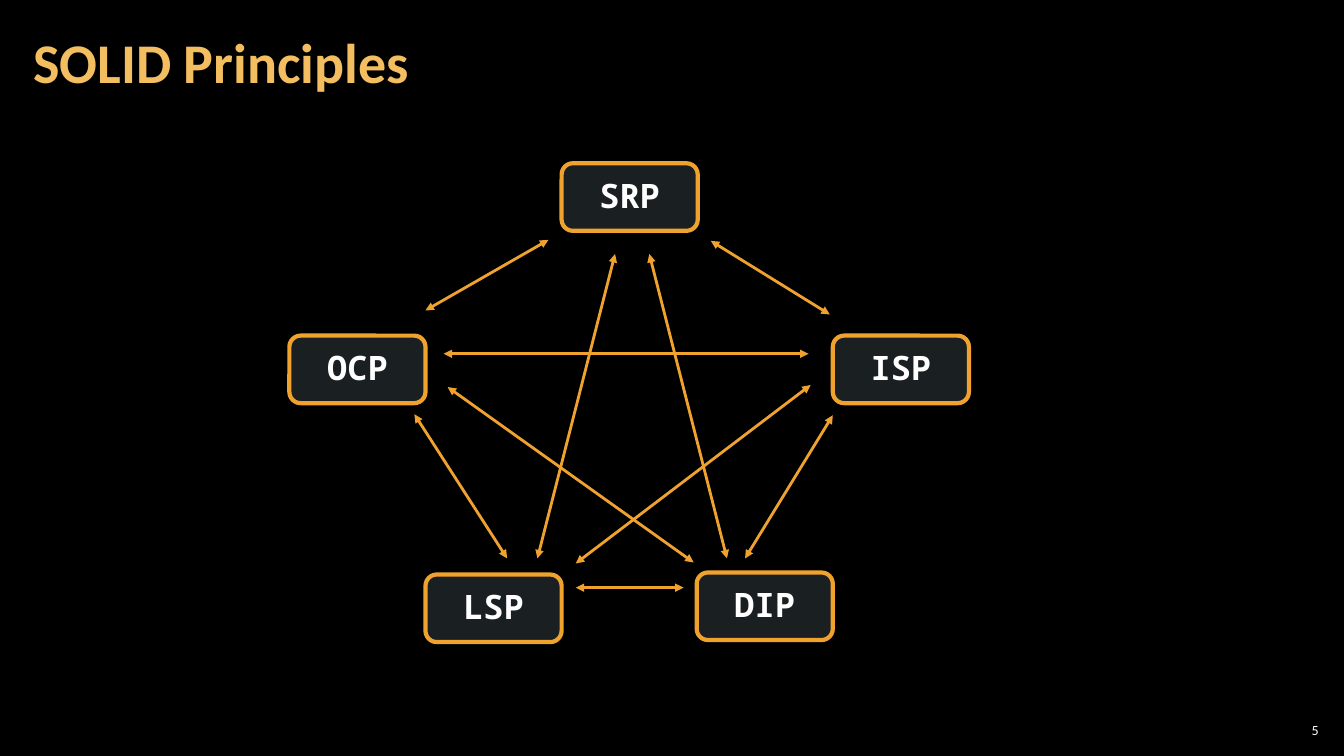
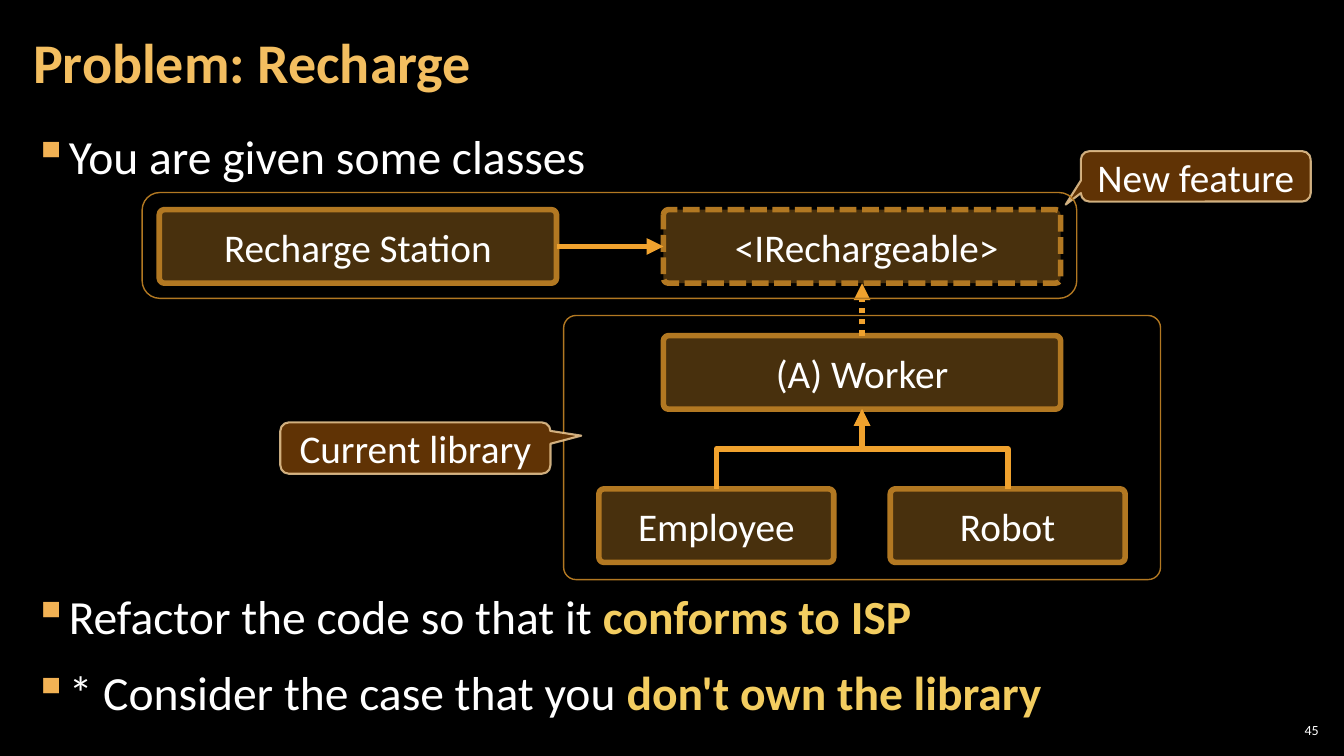
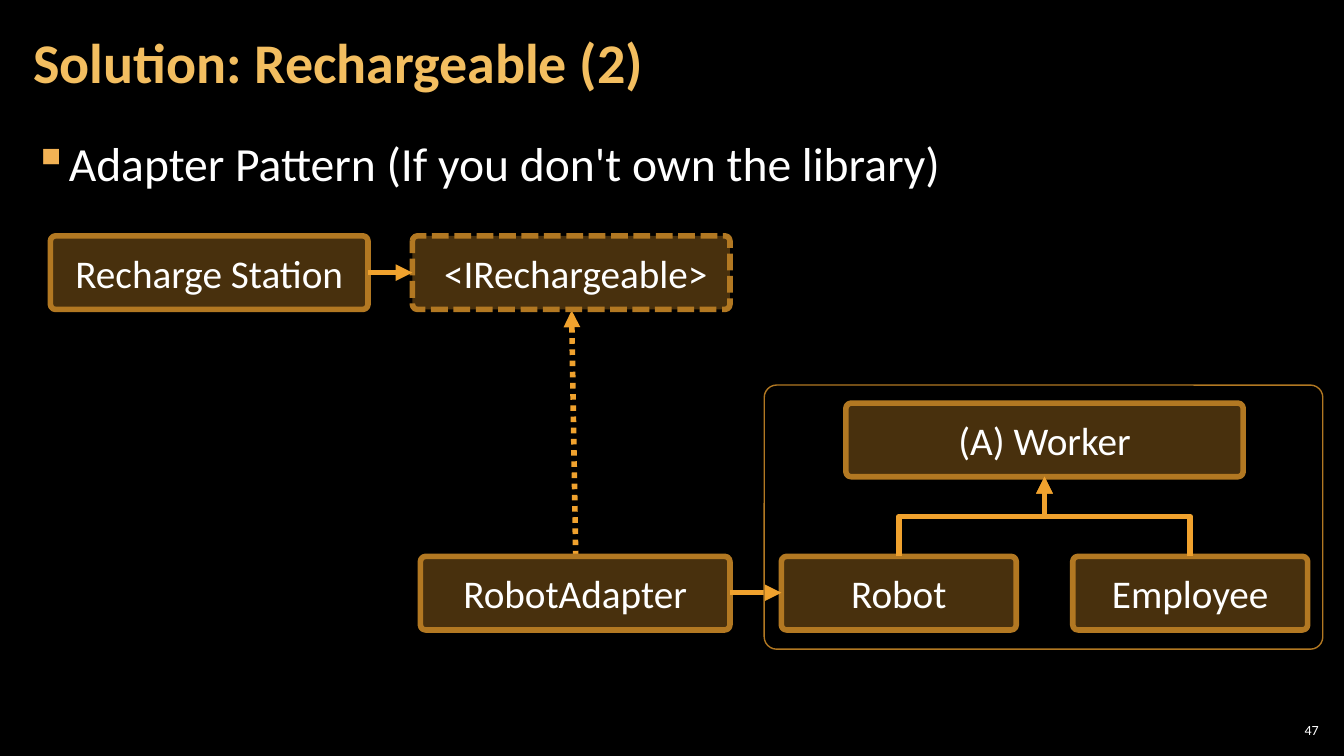
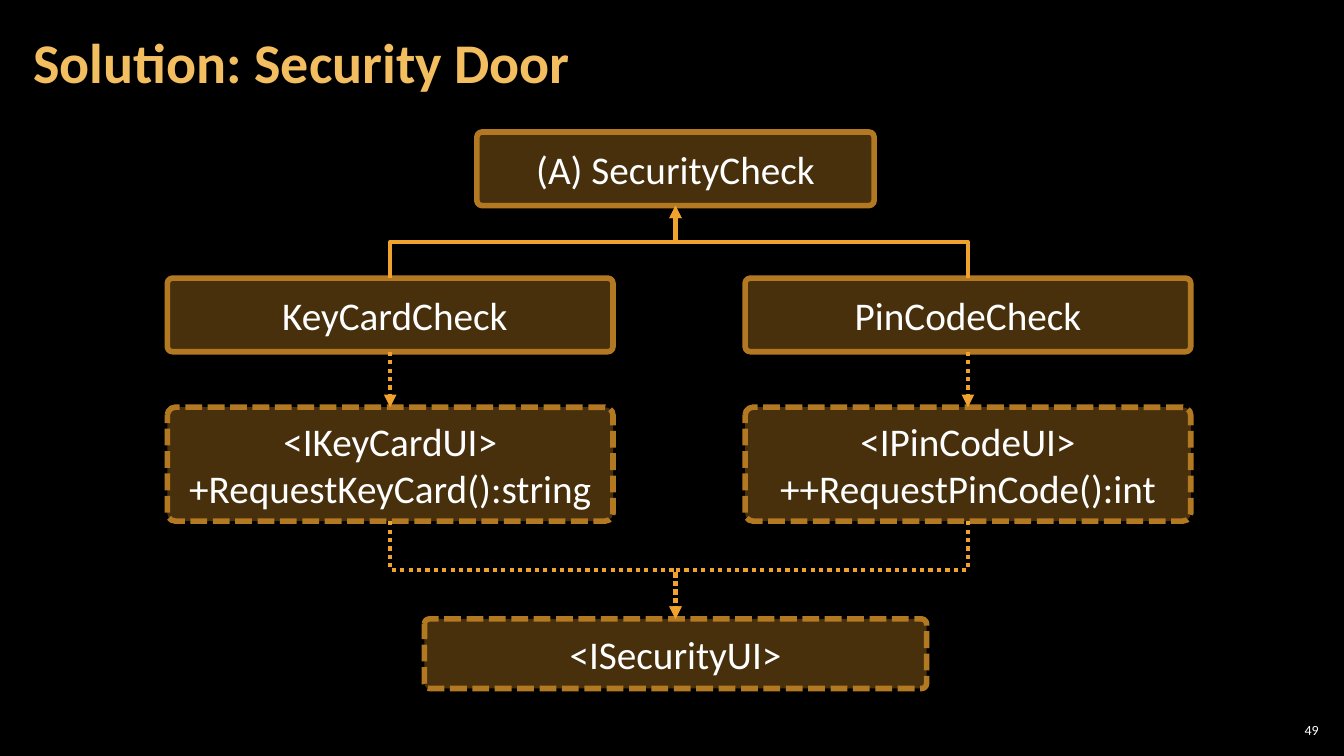
import lxml.etree
import pptx
import pptx.dml.color
import pptx.enum.dml
import pptx.enum.shapes
import pptx.enum.text
import pptx.oxml.ns
import pptx.util

Inches = pptx.util.Inches
Pt = pptx.util.Pt
RGBColor = pptx.dml.color.RGBColor
qn = pptx.oxml.ns.qn
Shape = pptx.enum.shapes.MSO_SHAPE
Connector = pptx.enum.shapes.MSO_CONNECTOR
Dash = pptx.enum.dml.MSO_LINE
Align = pptx.enum.text.PP_ALIGN
Anchor = pptx.enum.text.MSO_ANCHOR

BLACK = RGBColor(0x00, 0x00, 0x00)
WHITE = RGBColor(0xFF, 0xFF, 0xFF)
TITLE_GOLD = RGBColor(0xF3, 0xBE, 0x60)
BULLET_GOLD = RGBColor(0xF2, 0xB2, 0x54)
KEY_GOLD = RGBColor(0xF3, 0xCD, 0x60)
ORANGE = RGBColor(0xF0, 0xA2, 0x2E)
BRONZE = RGBColor(0xB2, 0x78, 0x22)
ICE = RGBColor(0xB5, 0xDB, 0xE5)
BROWN = RGBColor(0x66, 0x36, 0x06)
SAND = RGBColor(0xF8, 0xD4, 0x9E)

BODY_FONT = "Calibri"
CODE_FONT = "Noto Sans Mono"
BOX_HEIGHT = 0.73

TITLE_FONT = {"size": Pt(40), "bold": True, "color": TITLE_GOLD}
BODY_TEXT = {"size": Pt(34)}
KEY_TEXT = {"size": Pt(34), "bold": True, "color": KEY_GOLD}
CLASS_TEXT = {"size": Pt(28)}
NODE_TEXT = {"size": Pt(24), "bold": True, "name": CODE_FONT}
NUMBER_TEXT = {"size": Pt(10)}
MARGIN_NAMES = ("margin_left", "margin_top", "margin_right", "margin_bottom")


def apply_format(target, values):
    for name, value in values.items():
        setattr(target, name, value)


def add_run(paragraph, text, style):
    run = paragraph.add_run()
    run.text = text
    values = {"name": BODY_FONT, "color": WHITE, **style}
    run.font.color.rgb = values.pop("color")
    apply_format(run.font, values)


def set_alpha(parent, percent):
    colour = parent.find(qn("a:solidFill")).find(qn("a:srgbClr"))
    lxml.etree.SubElement(colour, qn("a:alpha"), val=str(percent * 1000))


def add_text_box(slide, box, margins, anchor):
    frame = slide.shapes.add_textbox(*map(Inches, box)).text_frame
    apply_format(frame, {"word_wrap": True, "vertical_anchor": anchor})
    apply_format(frame, dict(zip(MARGIN_NAMES, map(Inches, margins))))
    return frame


def add_slide(presentation, title, number):
    slide = presentation.slides.add_slide(presentation.slide_layouts[6])
    frame = add_text_box(slide, (0.21, 0.04, 10.47, 1.21), (0.12, 0.04) * 2, Anchor.MIDDLE)
    frame.paragraphs[0].line_spacing = 0.9
    add_run(frame.paragraphs[0], title, TITLE_FONT)
    frame = add_text_box(slide, (12.65, 7.14, 0.47, 0.21), (0.04,) * 4, Anchor.MIDDLE)
    frame.paragraphs[0].alignment = Align.RIGHT
    add_run(frame.paragraphs[0], str(number), NUMBER_TEXT)
    return slide


def add_bullets(slide, top, height, items):
    frame = add_text_box(slide, (0.21, top, 12.91, height), (0.12, 0.04) * 2, Anchor.TOP)
    for index, parts in enumerate(items):
        paragraph = frame.add_paragraph() if index else frame.paragraphs[0]
        spacing = {"line_spacing": 1.05, "space_before": Pt(6 if index else 0), "space_after": Pt(6)}
        apply_format(paragraph, spacing)
        properties = paragraph._p.get_or_add_pPr()
        properties.set("marL", str(Inches(0.33)))
        properties.set("indent", str(Inches(-0.33)))
        colour = lxml.etree.SubElement(properties, qn("a:buClr"))
        lxml.etree.SubElement(colour, qn("a:srgbClr"), val=str(BULLET_GOLD))
        lxml.etree.SubElement(properties, qn("a:buChar"), char="▪")
        for text, style in parts:
            add_run(paragraph, text, style)


def add_panel(slide, kind, box, line, width, fill=None, alpha=100, adjustments=()):
    shape = slide.shapes.add_shape(kind, *map(Inches, box))
    shape.shadow.inherit = False
    for index, value in enumerate(adjustments):
        shape.adjustments[index] = value
    if fill is None:
        shape.fill.background()
    else:
        shape.fill.solid()
        shape.fill.fore_color.rgb = fill
        set_alpha(shape.element.spPr, alpha)
    shape.line.color.rgb = line
    shape.line.width = Pt(width)
    return shape


def add_label(shape, lines, style, wrap=True, line_spacing=None):
    frame = shape.text_frame
    apply_format(frame, {"word_wrap": wrap, "vertical_anchor": Anchor.MIDDLE})
    for index, text in enumerate(lines):
        paragraph = frame.add_paragraph() if index else frame.paragraphs[0]
        apply_format(paragraph, {"alignment": Align.CENTER, "line_spacing": line_spacing})
        add_run(paragraph, text, style)


def add_class(slide, box, *lines, interface=False, inset=0.1):
    shape = add_panel(slide, Shape.ROUNDED_RECTANGLE, box, BRONZE, 4, ORANGE, 30, [0.07])
    if interface:
        shape.line.dash_style = Dash.SQUARE_DOT
    add_label(shape, lines, CLASS_TEXT)
    shape.text_frame.margin_left = Inches(inset)


def add_callout(slide, box, text, tip):
    shape = add_panel(slide, Shape.ROUNDED_RECTANGULAR_CALLOUT, box, SAND, 1.5, BROWN, 95, [*tip, 0.167])
    set_alpha(shape.element.spPr.ln, 80)
    add_label(shape, [text], CLASS_TEXT)


def add_group_frame(slide, box, corner):
    add_panel(slide, Shape.ROUNDED_RECTANGLE, box, BRONZE, 1, adjustments=[corner])


def style_connector(connector, width, dotted, ends):
    connector.line.color.rgb = ORANGE
    connector.line.width = Pt(width)
    if dotted:
        connector.line.dash_style = Dash.ROUND_DOT
    properties = connector.element.spPr
    for end in ends:
        lxml.etree.SubElement(properties.ln, qn(f"a:{end}"), type="triangle")
    lxml.etree.SubElement(properties, qn("a:effectLst"))


def add_arrow(slide, start, end, width=4, dotted=False, ends=("tailEnd",)):
    connector = slide.shapes.add_connector(Connector.STRAIGHT, *map(Inches, (*start, *end)))
    style_connector(connector, width, dotted, ends)


def add_vertical_elbow(slide, start, end, width=4, dotted=False):
    across, down = end[0] - start[0], end[1] - start[1]
    middle_x, middle_y = (start[0] + end[0]) / 2, (start[1] + end[1]) / 2
    half_x = abs(down) / 2 * (-1 if across > 0 else 1)
    half_y = abs(across) / 2 * (-1 if down < 0 else 1)
    corners = (middle_x - half_x, middle_y - half_y, middle_x + half_x, middle_y + half_y)
    connector = slide.shapes.add_connector(Connector.ELBOW, *map(Inches, corners))
    quarter_turns = 1 if across * down < 0 else 3
    connector.element.spPr.find(qn("a:xfrm")).set("rot", str(quarter_turns * 5400000))
    style_connector(connector, width, dotted, ("tailEnd",))


def add_worker_tree(slide, left, top, children):
    child_width, child_step, child_top = 2.33, 2.89, top + 1.52
    center = left + (child_step + child_width) / 2
    add_class(slide, (center - 1.97, top, 3.94, BOX_HEIGHT), "(A) Worker")
    for index, name in enumerate(children):
        child_left = left + index * child_step
        add_class(slide, (child_left, child_top, child_width, BOX_HEIGHT), name)
        add_vertical_elbow(slide, (child_left + child_width / 2, child_top), (center, top + BOX_HEIGHT))


def add_station_row(slide, left, top, width, gap):
    interface_left = left + width + gap
    middle = top + BOX_HEIGHT / 2
    add_class(slide, (left, top, width, BOX_HEIGHT), "Recharge Station")
    add_class(slide, (interface_left, top, width, BOX_HEIGHT), "<IRechargeable>", interface=True, inset=0.19)
    add_arrow(slide, (left + width, middle), (interface_left, middle))


def build_principles(presentation):
    slide = add_slide(presentation, "SOLID Principles", 5)
    nodes = {
        "SRP": (5.57, 1.62),
        "OCP": (2.87, 3.33),
        "ISP": (8.26, 3.33),
        "DIP": (6.91, 5.68),
        "LSP": (4.22, 5.7),
    }
    for name, position in nodes.items():
        shape = add_panel(slide, Shape.ROUNDED_RECTANGLE, (*position, 1.35, 0.67), ORANGE, 3, ICE, 15)
        add_label(shape, [name], NODE_TEXT, wrap=False, line_spacing=0.95)
    links = [
        ((4.4, 3.51), (8.02, 3.51)),
        ((5.33, 5.54), (6.1, 2.52)),
        ((7.21, 5.54), (6.44, 2.52)),
        ((6.88, 5.58), (4.44, 3.84)),
        ((7.39, 5.54), (8.26, 4.12)),
        ((5.03, 5.54), (4.11, 4.11)),
        ((5.71, 5.59), (8.04, 3.82)),
        ((4.22, 3.08), (5.44, 2.38)),
        ((7.05, 2.39), (8.23, 3.12)),
        ((5.71, 5.83), (6.78, 5.83)),
    ]
    for start, end in links:
        add_arrow(slide, start, end, width=2, ends=("headEnd", "tailEnd"))


def build_recharge_problem(presentation):
    slide = add_slide(presentation, "Problem: Recharge", 45)
    add_bullets(slide, 1.19, 0.7, [[("You are given some classes", BODY_TEXT)]])
    add_bullets(slide, 5.75, 1.5, [
        [("Refactor the code so that it ", BODY_TEXT), ("conforms to ISP", KEY_TEXT)],
        [("* Consider the case that you ", BODY_TEXT), ("don't own the library", KEY_TEXT)],
    ])
    add_station_row(slide, 1.58, 2.08, 3.94, 1.06)
    add_worker_tree(slide, 5.94, 3.33, ["Employee", "Robot"])
    add_arrow(slide, (8.55, 3.33), (8.55, 2.81), dotted=True)
    add_callout(slide, (10.72, 1.5, 2.28, 0.5), "New feature", (-0.566, 0.56))
    add_group_frame(slide, (1.41, 1.91, 9.27, 1.05), 0.167)
    add_group_frame(slide, (5.59, 3.13, 5.92, 2.62), 0.047)
    add_callout(slide, (2.78, 4.19, 2.68, 0.51), "Current library", (0.614, -0.241))


def build_adapter_solution(presentation):
    slide = add_slide(presentation, "Solution: Rechargeable (2)", 47)
    add_bullets(slide, 1.26, 0.7, [[("Adapter Pattern (If you don't own the library)", BODY_TEXT)]])
    add_arrow(slide, (5.71, 5.52), (5.67, 3.08), dotted=True)
    add_station_row(slide, 0.5, 2.34, 3.15, 0.44)
    add_worker_tree(slide, 7.75, 4, ["Robot", "Employee"])
    add_class(slide, (4.17, 5.52, 3.07, BOX_HEIGHT), "RobotAdapter")
    add_arrow(slide, (7.24, 5.88), (7.75, 5.88))
    add_group_frame(slide, (7.58, 3.82, 5.54, 2.62), 0.047)


def add_check_column(slide, left, check, inset, interface_lines):
    width, center = 4.42, left + 2.21
    add_class(slide, (left, 2.76, width, BOX_HEIGHT), check, inset=inset)
    add_class(slide, (left, 4.04, width, 1.13), *interface_lines, interface=True)
    add_vertical_elbow(slide, (center, 2.76), (6.7, 2.04), width=3)
    add_arrow(slide, (center, 3.49), (center, 4.04), width=3, dotted=True)
    add_vertical_elbow(slide, (center, 5.17), (6.7, 6.14), width=3, dotted=True)


def build_security_solution(presentation):
    slide = add_slide(presentation, "Solution: Security Door", 49)
    add_class(slide, (4.73, 1.31, 3.94, BOX_HEIGHT), "(A) SecurityCheck")
    add_class(slide, (4.21, 6.14, 4.98, 0.69), "<ISecurityUI>", interface=True)
    add_check_column(slide, 1.66, "KeyCardCheck", 0.19, ["<IKeyCardUI>", "+RequestKeyCard():string"])
    add_check_column(slide, 7.39, "PinCodeCheck", 0.1, ["<IPinCodeUI>", "++RequestPinCode():int"])


def main():
    presentation = pptx.Presentation()
    apply_format(presentation, {"slide_width": Inches(13.33), "slide_height": Inches(7.5)})
    background = presentation.slide_master.background.fill
    background.solid()
    background.fore_color.rgb = BLACK
    build_principles(presentation)
    build_recharge_problem(presentation)
    build_adapter_solution(presentation)
    build_security_solution(presentation)
    presentation.save("out.pptx")


if __name__ == "__main__":
    main()
